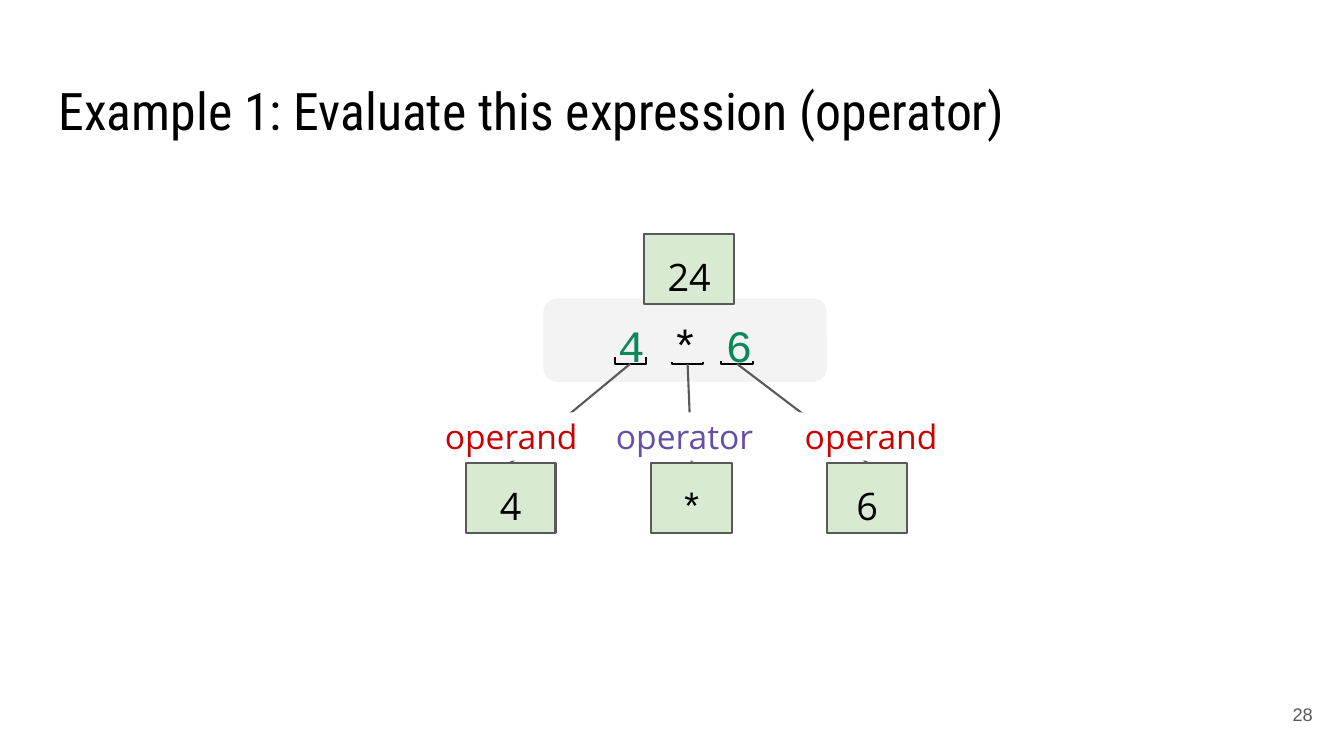
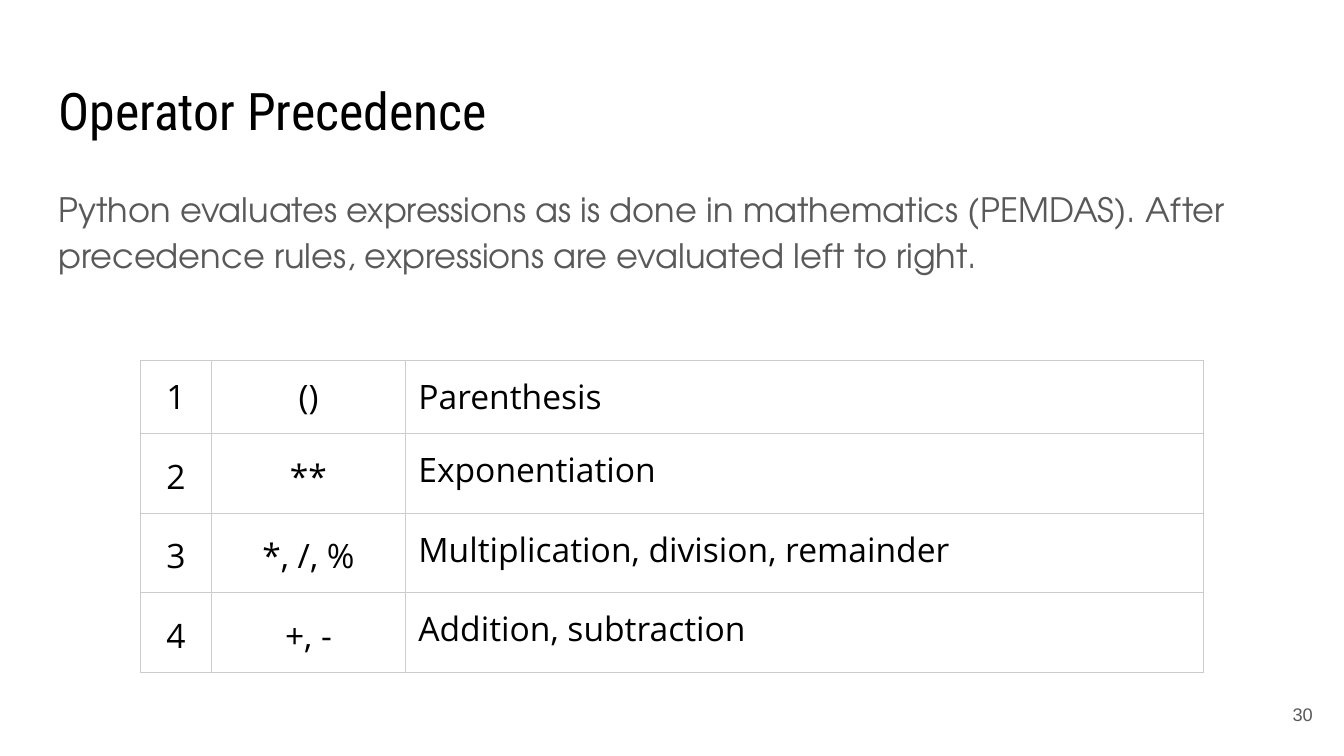
from dataclasses import dataclass

from pptx import Presentation
from pptx.dml.color import RGBColor
from pptx.enum.shapes import MSO_CONNECTOR as Line, MSO_SHAPE as Shape
from pptx.enum.text import MSO_ANCHOR as Anchor, PP_ALIGN as Align
from pptx.oxml.ns import qn
from pptx.util import Inches, Pt
from lxml.etree import SubElement


@dataclass(frozen=True)
class Theme:
    ink: str = "000000"
    grey: str = "595959"
    white: str = "FFFFFF"
    panel: str = "F3F3F3"
    value: str = "D9EAD3"
    number: str = "09885A"
    operand: str = "CC0000"
    operator: str = "674EA7"
    grid: str = "CCCCCC"
    title_font: str = "Roboto Condensed"
    body_font: str = "TeX Gyre Adventor"
    text_font: str = "Open Sans"
    code_font: str = "Courier New"
    page_font: str = "Arial"
    title_size: int = 37
    code_size: int = 32
    value_size: int = 27
    text_size: int = 24
    page_size: int = 13
    stroke: float = 1.5
    grid_stroke: float = 0.75
    inset: float = 0.13
    spacing: float = 1.15


T = Theme()

# Content
EXPRESSION = {
    "title": "Example 1: Evaluate this expression (operator)",
    "page": "28",
    "tokens": [("4 ", T.number), ("* ", T.ink), ("6", T.number)],
    "result": "24",
}
# value, font, role, role colour, bracket centre, bracket depth,
# value box left, value box width, role label left
PARTS = [
    ("4", T.text_font, "operand", T.operand, 6.25, 0.07, 4.62, 0.89, 4.19),
    ("6", T.text_font, "operand", T.operand, 7.31, 0.03, 8.2, 0.8, 7.76),
    ("*", T.code_font, "operator", T.operator, 6.82, 0.02, 6.46, 0.8, 5.91),
]
PRECEDENCE = {
    "title": "Operator Precedence",
    "page": "30",
    "body": "Python evaluates expressions as is done in mathematics (PEMDAS). "
            "After precedence rules, expressions are evaluated left to right.",
    "rows": [
        ("1", "()", "Parenthesis"),
        ("2", "**", "Exponentiation"),
        ("3", "*, /, %", "Multiplication, division, remainder"),
        ("4", "+, -", "Addition, subtraction"),
    ],
}

# Layout, in inches
BRACKET_BOTTOM, BRACKET_SPAN = 3.61, 0.31
VALUE_TOP, VALUE_HEIGHT = 4.59, 0.7
LABEL_TOP, LABEL_WIDTH, LABEL_HEIGHT = 4.09, 1.76, 0.48
COLUMN_WIDTHS = (0.71, 1.92, 7.92)
FIRST_ROW, OTHER_ROW = 0.72, 0.79


def rgb(code):
    return RGBColor.from_string(code)


def inches(*lengths):
    return [Inches(length) for length in lengths]


def write(frame, runs, font, size, align=Align.LEFT, spacing=None, after=None):
    """Fill one paragraph with (text, colour) runs."""
    paragraph = frame.paragraphs[0]
    paragraph.alignment = align
    if spacing:
        paragraph.line_spacing = spacing
    if after:
        paragraph.space_after = Pt(after)
    for text, colour in runs:
        run = paragraph.add_run()
        run.text = text
        run.font.name, run.font.size = font, Pt(size)
        run.font.color.rgb = rgb(colour)


def prepare(frame, anchor):
    frame.word_wrap = True
    frame.vertical_anchor = anchor
    frame.margin_left = frame.margin_right = Inches(T.inset)
    frame.margin_top = frame.margin_bottom = Inches(T.inset)


def add_text(slide, box, runs, font, size, anchor=Anchor.TOP, **style):
    frame = slide.shapes.add_textbox(*inches(*box)).text_frame
    prepare(frame, anchor)
    write(frame, runs, font, size, **style)


def add_block(slide, kind, box, fill=None, line=None, anchor=Anchor.TOP):
    block = slide.shapes.add_shape(kind, *inches(*box))
    block.shadow.inherit = False
    if fill:
        block.fill.solid()
        block.fill.fore_color.rgb = rgb(fill)
    else:
        block.fill.background()
    if line:
        block.line.color.rgb = rgb(line)
        block.line.width = Pt(T.stroke)
    else:
        block.line.fill.background()
    prepare(block.text_frame, anchor)
    return block


def add_value(slide, left, top, width, text, font):
    block = add_block(slide, Shape.RECTANGLE, (left, top, width, VALUE_HEIGHT),
                      T.value, T.grey)
    write(block.text_frame, [(text, T.ink)], font, T.value_size,
          Align.CENTER, T.spacing)
    return block


def add_bracket(slide, centre, depth):
    # The bracket is turned a quarter, so its width becomes its depth
    box = (centre - depth / 2, BRACKET_BOTTOM - depth / 2 - BRACKET_SPAN / 2,
           depth, BRACKET_SPAN)
    bracket = add_block(slide, Shape.RIGHT_BRACKET, box, line=T.ink)
    bracket.adjustments[0] = 0
    bracket.rotation = 90


def add_branch(slide, centre, value):
    start = inches(centre, BRACKET_BOTTOM)
    branch = slide.shapes.add_connector(Line.STRAIGHT, *start, *start)
    branch.end_connect(value, 0)
    branch.line.color.rgb = rgb(T.grey)
    branch.line.width = Pt(T.stroke)
    SubElement(branch._element.spPr, qn("a:effectLst"))


def border(cell):
    properties = cell._tc.get_or_add_tcPr()
    for index, side in enumerate(("a:lnL", "a:lnR", "a:lnT", "a:lnB")):
        edge = properties.makeelement(qn(side), {"w": str(Pt(T.grid_stroke))})
        fill = SubElement(edge, qn("a:solidFill"))
        SubElement(fill, qn("a:srgbClr"), val=T.grid)
        properties.insert(index, edge)


def new_slide(deck, content):
    """Shared slide: title and page number."""
    slide = deck.slides.add_slide(deck.slide_layouts[6])
    add_text(slide, (0.45, 0.65, 12.42, 0.83), [(content["title"], T.ink)],
             T.title_font, T.title_size)
    add_text(slide, (12.35, 6.8, 0.8, 0.57), [(content["page"], T.grey)],
             T.page_font, T.page_size, Anchor.MIDDLE, align=Align.RIGHT)
    return slide


def build_expression(deck):
    slide = new_slide(deck, EXPRESSION)

    # Expression and its result
    panel = add_block(slide, Shape.ROUNDED_RECTANGLE, (5.39, 2.96, 2.81, 0.83),
                      T.panel, anchor=Anchor.MIDDLE)
    write(panel.text_frame, EXPRESSION["tokens"], T.code_font, T.code_size,
          Align.CENTER, T.spacing)
    add_value(slide, 6.39, 2.32, 0.89, EXPRESSION["result"], T.text_font)

    # Each part: bracket, branch, value and role
    for text, font, role, colour, centre, depth, left, width, label_left in PARTS:
        add_bracket(slide, centre, depth)
        value = add_value(slide, left, VALUE_TOP, width, text, font)
        add_branch(slide, centre, value)
        label = add_block(slide, Shape.RECTANGLE,
                          (label_left, LABEL_TOP, LABEL_WIDTH, LABEL_HEIGHT),
                          T.white, anchor=Anchor.MIDDLE)
        write(label.text_frame, [(role, colour)], T.text_font, T.text_size,
              Align.CENTER)


def build_precedence(deck):
    slide = new_slide(deck, PRECEDENCE)
    add_text(slide, (0.45, 1.68, 12.42, 1.6), [(PRECEDENCE["body"], T.grey)],
             T.body_font, T.text_size, spacing=T.spacing, after=21)

    # Precedence table
    rows = PRECEDENCE["rows"]
    heights = [FIRST_ROW] + [OTHER_ROW] * (len(rows) - 1)
    table = slide.shapes.add_table(
        len(rows), len(COLUMN_WIDTHS),
        *inches(1.39, 3.58, sum(COLUMN_WIDTHS), sum(heights))).table
    table.first_row = table.horz_banding = False
    for column, width in zip(table.columns, COLUMN_WIDTHS):
        column.width = Inches(width)
    for r, (texts, height) in enumerate(zip(rows, heights)):
        table.rows[r].height = Inches(height)
        for c, text in enumerate(texts):
            cell = table.cell(r, c)
            cell.fill.background()
            cell.margin_left = cell.margin_right = Inches(T.inset)
            cell.margin_top = cell.margin_bottom = Inches(T.inset)
            border(cell)
            is_name = c == len(texts) - 1
            write(cell.text_frame, [(text, T.ink)], T.text_font, T.text_size,
                  Align.LEFT if is_name else Align.CENTER,
                  T.spacing if r and not is_name else None)


def main():
    deck = Presentation()
    deck.slide_width, deck.slide_height = inches(13.33, 7.5)
    build_expression(deck)
    build_precedence(deck)
    deck.save("out.pptx")


if __name__ == "__main__":
    main()
